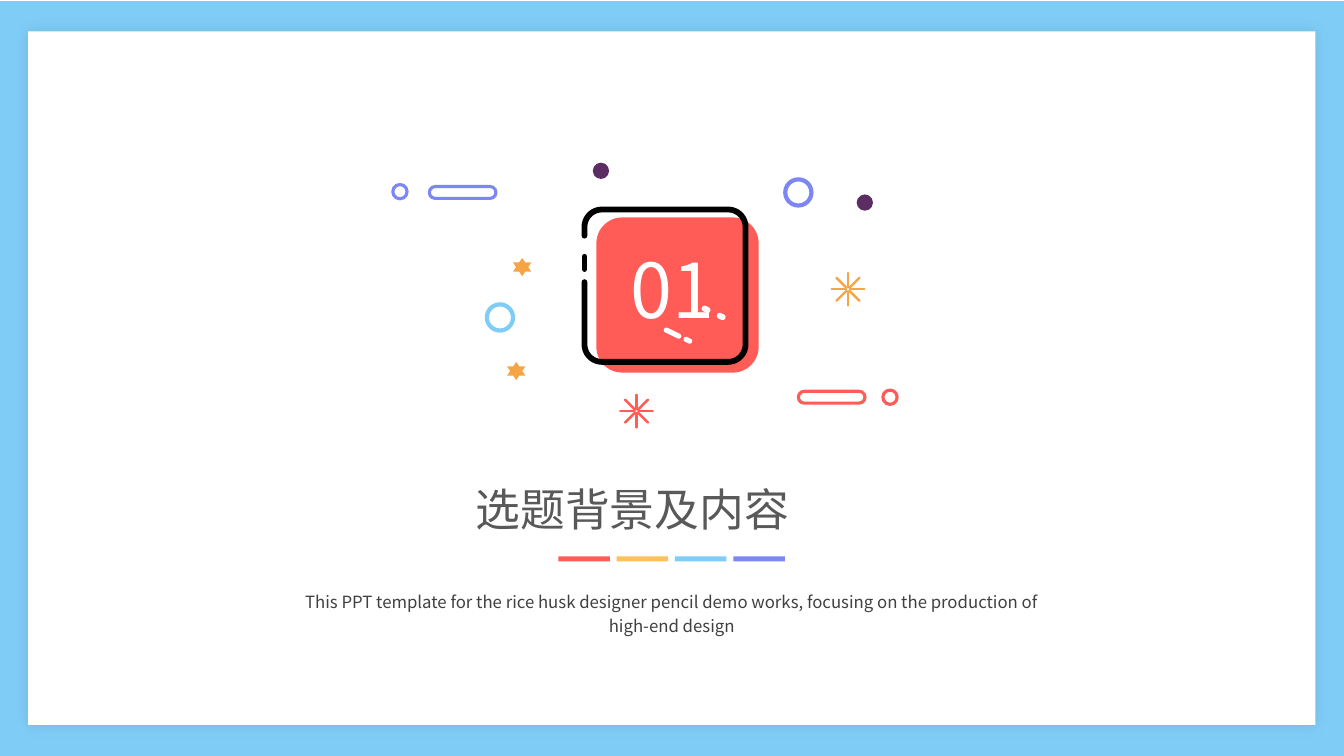
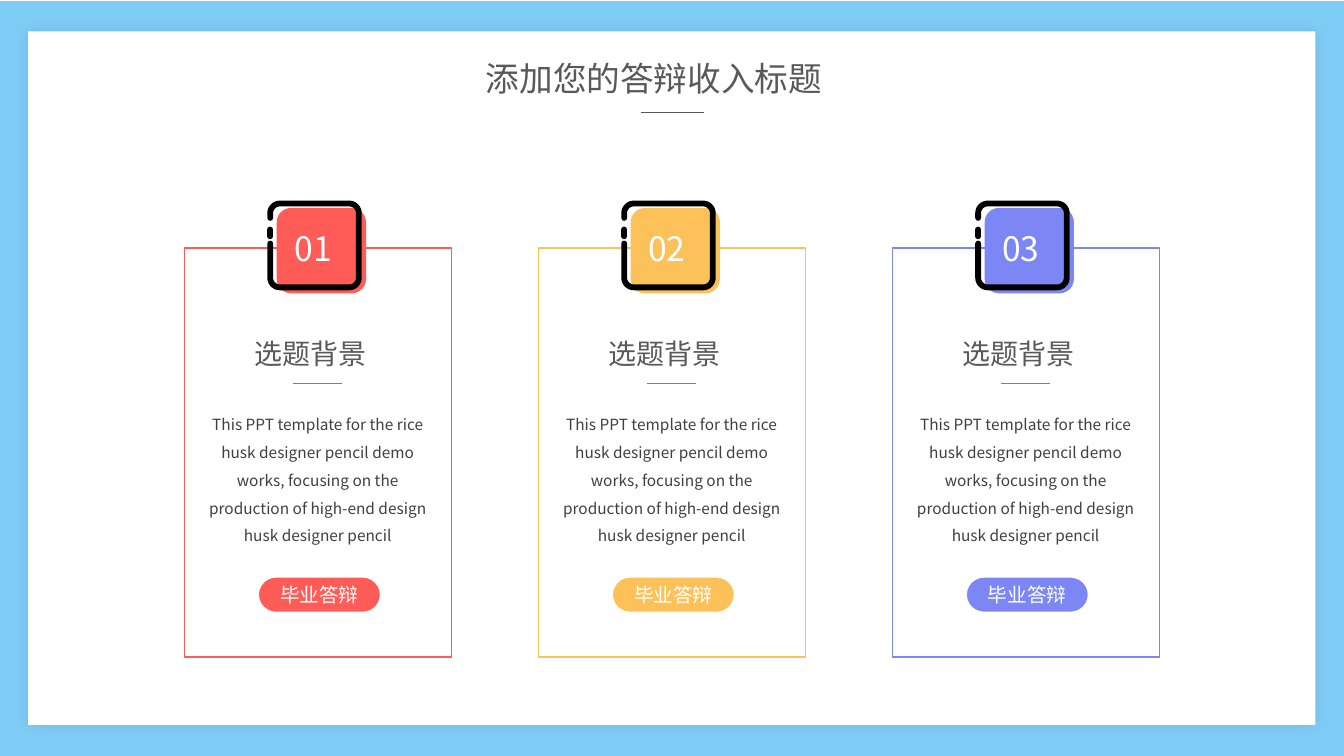
import math

from lxml import etree
from pptx import Presentation
from pptx import util as u
from pptx.dml.color import RGBColor
from pptx.enum import shapes, text
from pptx.oxml import ns

RED = RGBColor(0xFF, 0x5B, 0x57)
YELLOW = RGBColor(0xFC, 0xC2, 0x59)
BLUE = RGBColor(0x7F, 0xCD, 0xF7)
VIOLET = RGBColor(0x7C, 0x87, 0xF5)
ORANGE = RGBColor(0xF6, 0xA5, 0x46)
PLUM = RGBColor(0x5C, 0x2D, 0x62)
BLACK = RGBColor(0, 0, 0)
WHITE = RGBColor(0xFF, 0xFF, 0xFF)
TITLE_GREY = RGBColor(0x59, 0x59, 0x59)
BODY_GREY = RGBColor(0x40, 0x40, 0x40)
RULE_GREY = RGBColor(0x80, 0x80, 0x80)

FONT = "Noto Sans CJK SC"
KIND = shapes.MSO_SHAPE
ALIGN = text.PP_ALIGN
FIT = text.MSO_AUTO_SIZE
TOP = text.MSO_ANCHOR.TOP
MIDDLE = text.MSO_ANCHOR.MIDDLE
INTRO = ("This PPT template for the rice husk designer pencil demo works, "
         "focusing on the production of high-end design")


def cm(*lengths):
    return [u.Cm(length) for length in lengths]


def child(parent, tag, **attributes):
    return etree.SubElement(parent, ns.qn(tag), attributes)


# Basic parts

def write(holder, words, size, color, align=ALIGN.JUSTIFY, spacing=1.0,
          fit=FIT.SHAPE_TO_FIT_TEXT, anchor=TOP):
    frame = holder.text_frame
    frame.text = words
    frame_format = {"word_wrap": True, "auto_size": fit,
                    "vertical_anchor": anchor}
    paragraph = frame.paragraphs[0]
    paragraph_format = {"alignment": align, "line_spacing": spacing}
    run = paragraph.runs[0]
    run_format = {"size": u.Pt(size), "name": FONT}
    for target, values in ((frame, frame_format), (paragraph, paragraph_format),
                           (run.font, run_format)):
        for key, value in values.items():
            setattr(target, key, value)
    run.font.color.rgb = color
    child(run.font._element, "a:ea", typeface=FONT)


def add_text(slide, box, words, size, color, **options):
    write(slide.shapes.add_textbox(*cm(*box)), words, size, color, **options)


def set_title(slide, box, words, size):
    title = slide.shapes.title
    for key, value in zip(("left", "top", "width", "height"), cm(*box)):
        setattr(title, key, value)
    write(title, words, size, TITLE_GREY, fit=FIT.NONE)


def paint(shape, fill=None, line=None, weight=1):
    shape.shadow.inherit = False
    if fill is None:
        shape.fill.background()
    else:
        shape.fill.solid()
        shape.fill.fore_color.rgb = fill
    if line is None:
        shape.line.fill.background()
    else:
        shape.line.color.rgb = line
        shape.line.width = u.Pt(weight)


def add_block(slide, kind, box, fill=None, line=None, weight=1, round_end=False):
    block = slide.shapes.add_shape(kind, *cm(*box))
    paint(block, fill, line, weight)
    if round_end:
        block.adjustments[0] = 0.5
    return block


def add_line(slide, start, end, color, weight, cap="flat"):
    line = slide.shapes.add_connector(shapes.MSO_CONNECTOR.STRAIGHT,
                                      *cm(*start, *end))
    line.line.color.rgb = color
    line.line.width = u.Pt(weight)
    line.get_or_add_ln().set("cap", cap)
    child(line.element.spPr, "a:effectLst")


# Shared frame, kept on the master

def add_frame(prs, slide):
    border = add_block(slide, KIND.RECTANGLE, (0, 0.03, 33.87, 19.02), BLUE)
    panel = add_block(slide, KIND.RECTANGLE, (0.71, 0.79, 32.44, 17.48), WHITE)
    effects = panel.element.spPr.find(ns.qn("a:effectLst"))
    glow = child(effects, "a:outerShdw", blurRad=str(u.Pt(10)), dist="0",
                 dir="0", algn="ctr", rotWithShape="0")
    child(child(glow, "a:srgbClr", val=str(BLACK)), "a:alpha", val="10000")
    tree = prs.slide_master.shapes.element
    for index, part in enumerate((border, panel), start=2):
        tree.insert(index, part.element)


# Number badge: a coloured slab behind a broken black outline

def add_badge(slide, x, y, scale, color, number, size, label):
    width, height, radius = 4.06 * scale, 3.84 * scale, 0.44 * scale
    add_block(slide, KIND.ROUNDED_RECTANGLE,
              (x + 0.3 * scale, y + 0.2 * scale, 4.09 * scale, 3.91 * scale),
              color)

    corners = [(radius, radius, 180), (width - radius, radius, 270),
               (width - radius, height - radius, 0),
               (radius, height - radius, 90)]
    points = []
    for center_x, center_y, first in corners:
        for step in range(0, 91, 10):
            angle = math.radians(first + step)
            points.append(cm(x + center_x + radius * math.cos(angle),
                             y + center_y + radius * math.sin(angle)))
    points.append(cm(x, y + 1.83 * scale))
    builder = slide.shapes.build_freeform(*cm(x, y + 0.66 * scale), scale=1.0)
    builder.add_line_segments(points, close=False)
    outline = builder.convert_to_shape()
    paint(outline, line=BLACK, weight=4.13)
    outline.get_or_add_ln().set("cap", "rnd")
    add_line(slide, (x, y + 1.19 * scale), (x, y + 1.5 * scale), BLACK, 4.13,
             "rnd")

    dx, dy, label_width, label_height = label
    add_text(slide, (x + dx, y + dy, label_width, label_height), number, size,
             WHITE)


# Section slide

def add_burst(slide, x, y, color):
    for ray in range(8):
        angle = math.radians(45 * ray)
        inner, outer = [(x + r * math.cos(angle), y + r * math.sin(angle))
                        for r in (0.05, 0.41)]
        add_line(slide, inner, outer, color, 1.75, "rnd")


def add_emblem(slide, x, y, number):
    add_badge(slide, x + 4.83, y + 1.18, 1, RED, number, 54,
              (0.91, 0.71, 2.92, 2.57))

    # Glints on the badge
    for dx, dy, width, height in ((7.78, 3.62, 0.23, 0.15),
                                  (8.16, 3.8, 0.23, 0.15),
                                  (6.81, 4.23, 0.48, 0.13),
                                  (7.32, 4.41, 0.23, 0.13)):
        glint = add_block(slide, KIND.ROUNDED_RECTANGLE,
                          (x + dx, y + dy, width, height), WHITE,
                          round_end=True)
        glint.rotation = 25.9

    # Rings, dots, stars, capsules and bursts around it
    for dx, dy, size, color, weight in ((2.37, 3.57, 0.66, BLUE, 3),
                                        (9.89, 0.42, 0.66, VIOLET, 3),
                                        (12.35, 5.73, 0.36, RED, 2.25),
                                        (0, 0.55, 0.36, VIOLET, 2.25)):
        add_block(slide, KIND.OVAL, (x + dx, y + dy, size, size),
                  line=color, weight=weight)
    for kind, dx, dy, size, color in ((KIND.OVAL, 11.69, 0.8, 0.41, PLUM),
                                      (KIND.OVAL, 5.04, 0, 0.41, PLUM),
                                      (KIND.STAR_6_POINT, 3.03, 2.4, 0.46, ORANGE),
                                      (KIND.STAR_6_POINT, 2.88, 5.02, 0.46, ORANGE)):
        add_block(slide, kind, (x + dx, y + dy, size, size), color)
    for dx, dy, color in ((10.22, 5.76, RED), (0.92, 0.6, VIOLET)):
        add_block(slide, KIND.ROUNDED_RECTANGLE, (x + dx, y + dy, 1.68, 0.3),
                  WHITE, color, 2.25, round_end=True)
    for dx, dy, color in ((6.14, 6.26, RED), (11.47, 3.19, ORANGE)):
        add_burst(slide, x + dx, y + dy, color)


def build_section(slide, number, heading, intro):
    add_emblem(slide, 9.9, 4.1, number)
    set_title(slide, (11.73, 12.01, 10.41, 1.63), heading, 32)
    add_text(slide, (7.19, 14.68, 19.48, 1.5), intro, 12, BODY_GREY,
             align=ALIGN.CENTER, spacing=1.2)
    for index, color in enumerate((RED, YELLOW, BLUE, VIOLET)):
        add_block(slide, KIND.RECTANGLE, (14.07 + 1.47 * index, 14.02, 1.3, 0.13),
                  color)


# Cards slide

def add_card(slide, x, y, color, number, heading, body, tag):
    add_block(slide, KIND.RECTANGLE, (x, y, 6.73, 10.31), line=color)
    add_badge(slide, x + 2.16, y - 1.12, 0.55, color, number, 24,
              (0.36, 0.48, 1.6, 1.27))
    add_text(slide, (x + 1.52, y + 2.11, 3.68, 1.12), heading, 20, TITLE_GREY)
    add_line(slide, (x + 2.74, y + 3.4), (x + 3.98, y + 3.4), RULE_GREY, 0.5)
    add_text(slide, (x + 0.26, y + 3.86, 6.2, 3.78), body, 11, BODY_GREY,
             align=ALIGN.CENTER, spacing=1.5)
    pill = add_block(slide, KIND.ROUNDED_RECTANGLE,
                     (x + 1.85, y + 8.28, 3.1, 0.91), color, WHITE, 1.5,
                     round_end=True)
    write(pill, tag, 14, WHITE, align=ALIGN.CENTER, fit=FIT.NONE, anchor=MIDDLE)


def build_cards(slide, heading, cards):
    set_title(slide, (11.99, 1.32, 9.88, 1.27), heading, 24)
    add_line(slide, (16.15, 2.84), (17.73, 2.84), TITLE_GREY, 0.5)
    for index, card in enumerate(cards):
        add_card(slide, 4.65 + 8.92 * index, 6.25, *card)


def main():
    prs = Presentation()
    prs.slide_width, prs.slide_height = cm(33.87, 19.05)
    title_only = prs.slide_layouts[5]

    section = prs.slides.add_slide(title_only)
    add_frame(prs, section)
    build_section(section, "01", "选题背景及内容", INTRO)

    cards = [(color, f"{index:02d}", "选题背景", INTRO + " husk designer pencil",
              "毕业答辩")
             for index, color in enumerate((RED, YELLOW, VIOLET), start=1)]
    build_cards(prs.slides.add_slide(title_only), "添加您的答辩收入标题", cards)

    prs.save("out.pptx")


if __name__ == "__main__":
    main()
